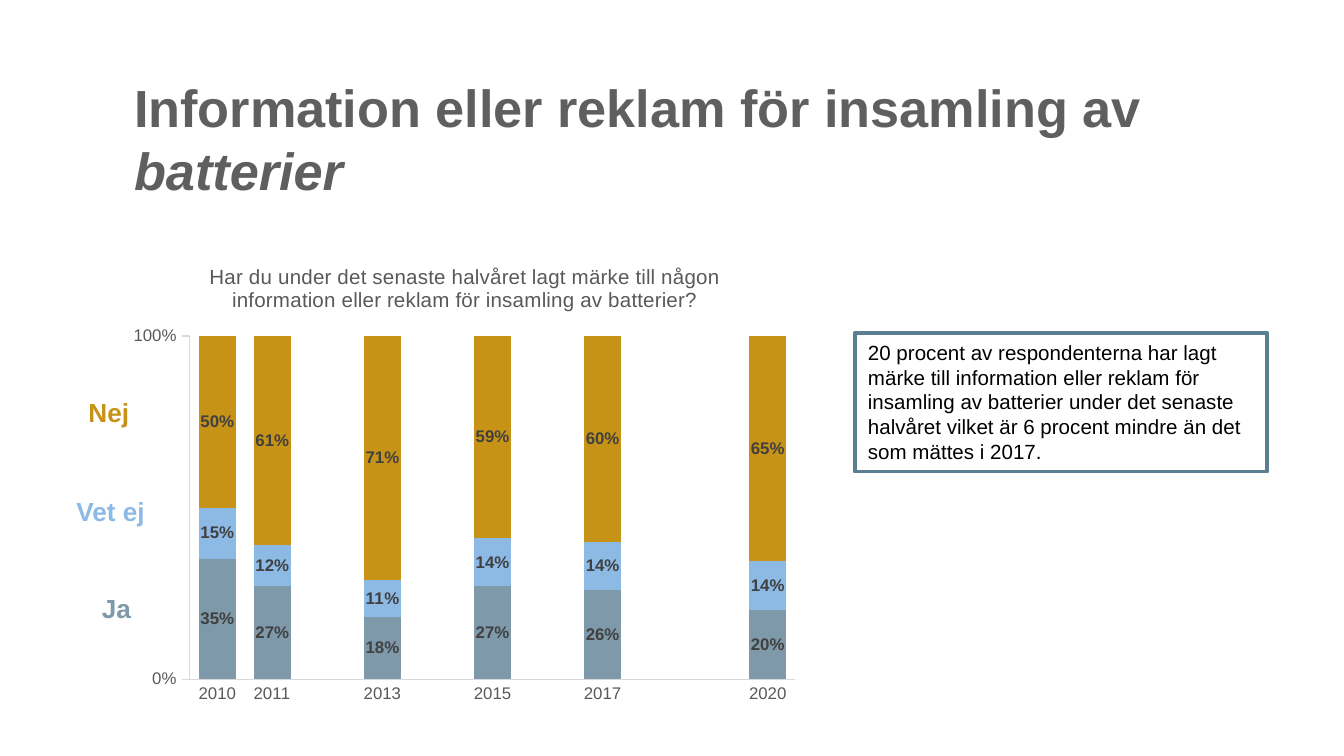
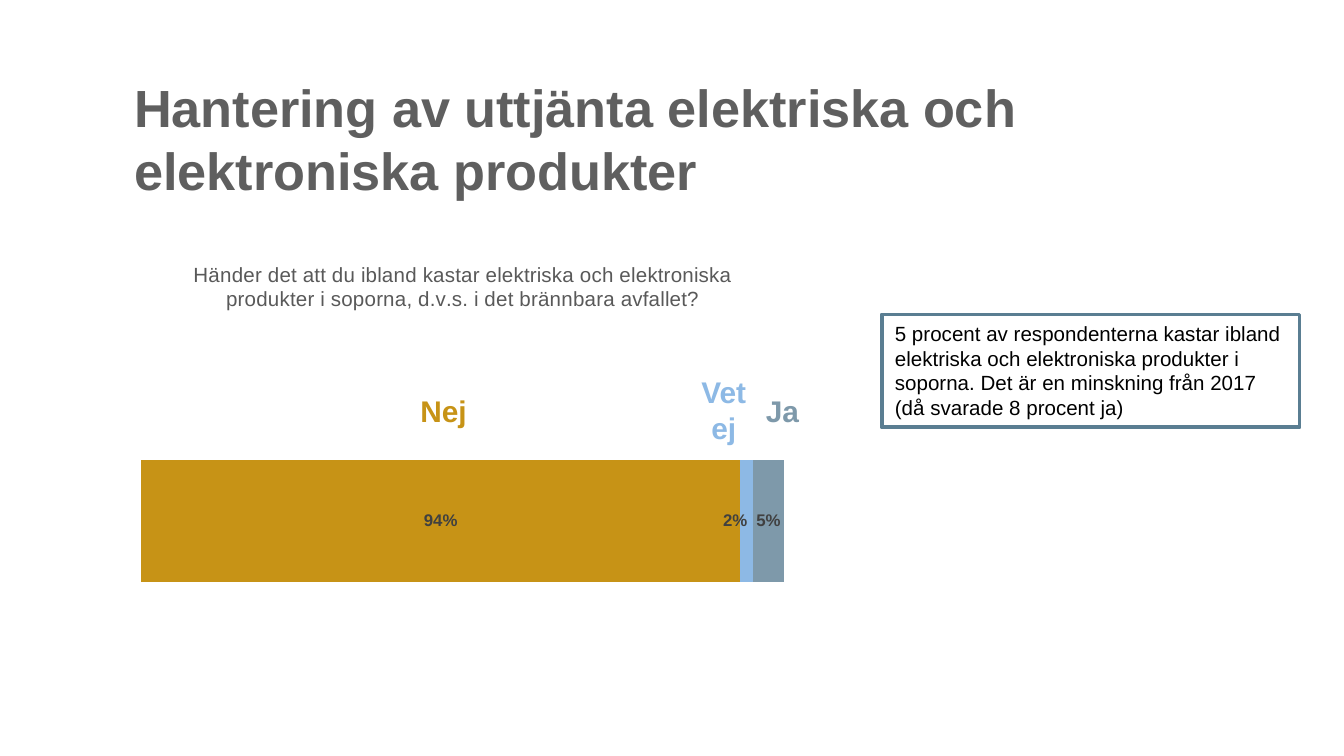
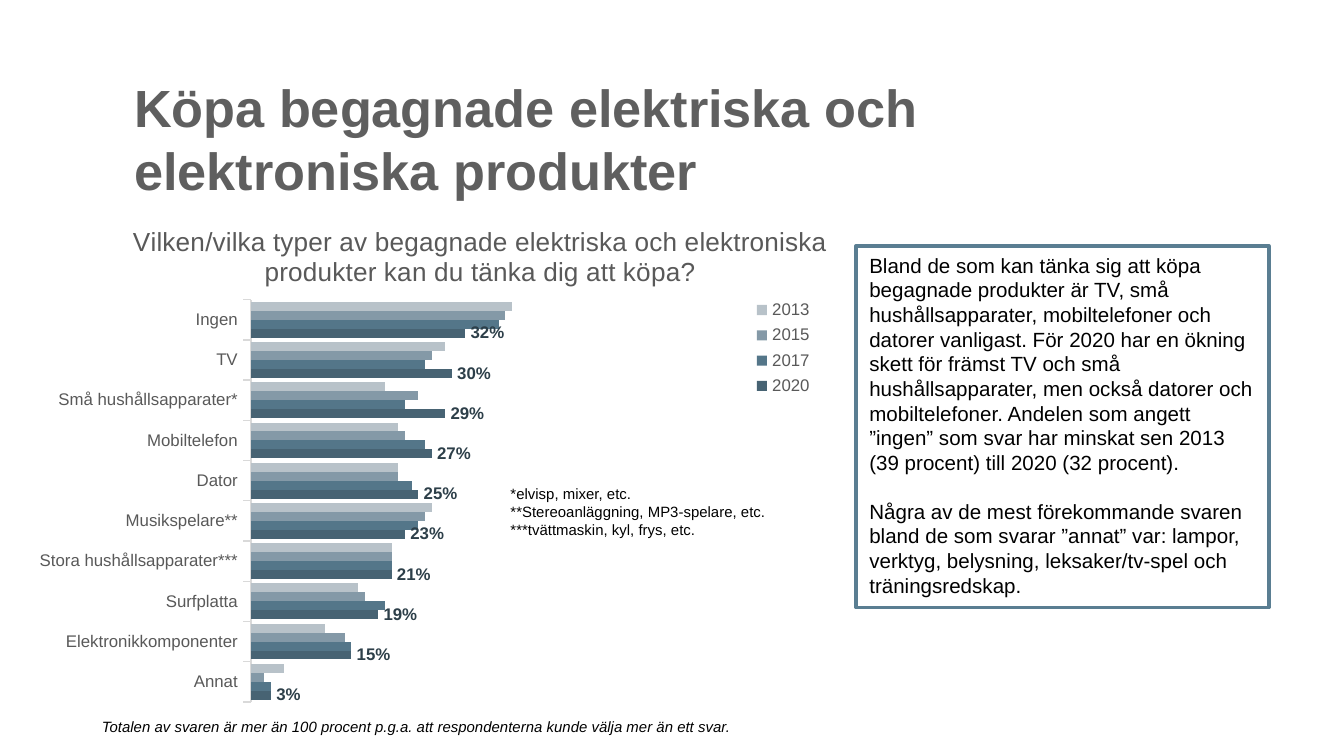
from lxml.etree import SubElement
from pptx import Presentation
from pptx.chart.data import CategoryChartData
from pptx.dml.color import RGBColor
from pptx.enum.chart import (XL_CHART_TYPE as ChartType, XL_LABEL_POSITION as LabelPos,
                             XL_LEGEND_POSITION as LegendPos, XL_TICK_MARK as Tick)
from pptx.enum.shapes import MSO_SHAPE
from pptx.enum.text import MSO_ANCHOR, MSO_AUTO_SIZE, PP_ALIGN
from pptx.oxml.ns import qn
from pptx.util import Inches, Pt

FONT = "Arial"
COLORS = {
    "title": "5F5F5F", "text": "000000", "white": "FFFFFF", "frame": "5A7E92",
    "axis text": "595959", "axis line": "D9D9D9", "share label": "404040",
    "Ja": "7E99AA", "Vet ej": "8DB9E5", "Nej": "C79316",
    "2020": "476373", "2017": "547689", "2015": "8499A7", "2013": "B8C2C9",
    "2020 label": "2D3F49",
}
TITLE_AREA = (0.9, 0.51, 8.03, 1.18)

# Areas are left, top, width, height in inches; plot and legend are fractions of the chart.
SLIDES = [
    {
        "title": [("Information eller reklam för insamling av ", {}),
                  ("batterier", {"italic": True})],
        "chart": {
            "type": ChartType.COLUMN_STACKED_100, "area": (0.9, 1.8, 5.12, 3.5),
            "plot": (0.1, 0.2, 0.88, 0.73), "gap": 50, "overlap": 100,
            "title": "Har du under det senaste halvåret lagt märke till någon "
                     "information eller reklam för insamling av batterier?",
            "title size": 11, "category ticks": Tick.NONE, "value ticks": Tick.OUTSIDE,
            "categories": ["2010", "2011", "", "2013", "", "2015", "", "2017", "", "", "2020"],
            "series": {
                "Ja": [0.35, 0.27, None, 0.18, None, 0.27, None, 0.26, None, None, 0.20],
                "Vet ej": [0.15, 0.12, None, 0.11, None, 0.14, None, 0.14, None, None, 0.14],
                "Nej": [0.5, 0.61, None, 0.71, None, 0.59, None, 0.6, None, None, 0.65],
            },
            "labels": {name: ("share label", LabelPos.CENTER) for name in ("Ja", "Vet ej", "Nej")},
        },
        "comment": ((6.36, 2.48, 3.07, 1.03), [
            "20 procent av respondenterna har lagt märke till information eller reklam för "
            "insamling av batterier under det senaste halvåret vilket är 6 procent mindre än "
            "det som mättes i 2017."]),
        "answers": [("Nej", (0.56, 2.9, 0.51, 0.34)),
                    ("Vet ej", (0.47, 3.64, 0.71, 0.34)),
                    ("Ja", (0.66, 4.36, 0.42, 0.34))],
        "answer size": 14,
    },
    {
        "title": [("Hantering av uttjänta elektriska och elektroniska produkter", {})],
        "chart": {
            "type": ChartType.BAR_STACKED_100, "area": (0.9, 1.79, 5.09, 3.51),
            "plot": (0.03, 0.23, 0.94, 0.73), "gap": 182, "overlap": 100,
            "title": "Händer det att du ibland kastar elektriska och elektroniska "
                     "produkter i soporna, d.v.s. i det brännbara avfallet?",
            "title size": 11,
            "categories": ["1"],
            "series": {"Nej": [0.94], "Vet ej": [0.02], "Ja": [0.05]},
            "labels": {"Nej": ("share label", LabelPos.CENTER),
                       "Vet ej": ("share label", LabelPos.INSIDE_END),
                       "Ja": ("share label", LabelPos.CENTER)},
        },
        "comment": ((6.56, 2.34, 3.11, 0.84), [
            "5 procent av respondenterna kastar ibland elektriska och elektroniska produkter "
            "i soporna. Det är en minskning från 2017 (då svarade 8 procent ja)"]),
        "answers": [("Ja", (5.6, 2.87, 0.45, 0.37)),
                    ("Nej", (3.03, 2.87, 0.55, 0.37)),
                    ("Vet ej", (5.09, 2.73, 0.59, 0.64))],
        "answer size": 16, "wrapped answer": "Vet ej",
    },
    {
        "title": [("Köpa begagnade elektriska och elektroniska produkter", {})],
        "chart": {
            "type": ChartType.BAR_CLUSTERED, "area": (0.16, 1.51, 6.83, 3.79),
            "plot": (0.25, 0.19, 0.73, 0.79), "gap": 50, "overlap": 0,
            "title": "Vilken/vilka typer av begagnade elektriska och elektroniska "
                     "produkter kan du tänka dig att köpa?",
            "title size": 14, "category ticks": Tick.OUTSIDE,
            "legend": (0.78, 0.18, 0.1, 0.21),
            "categories": ["Annat", "Elektronikkomponenter", "Surfplatta",
                           "Stora hushållsapparater***", "Musikspelare**", "Dator",
                           "Mobiltelefon", "Små hushållsapparater*", "TV", "Ingen"],
            "series": {
                "2020": [0.03, 0.15, 0.19, 0.21, 0.23, 0.25, 0.27, 0.29, 0.3, 0.32],
                "2017": [0.03, 0.15, 0.2, 0.21, 0.25, 0.24, 0.26, 0.23, 0.26, 0.37],
                "2015": [0.02, 0.14, 0.17, 0.21, 0.26, 0.22, 0.23, 0.25, 0.27, 0.38],
                "2013": [0.05, 0.11, 0.16, 0.21, 0.27, 0.22, 0.22, 0.2, 0.29, 0.39],
            },
            "labels": {"2020": ("2020 label", LabelPos.OUTSIDE_END)},
        },
        "comment": ((6.37, 1.83, 3.07, 2.69), [
            "Bland de som kan tänka sig att köpa begagnade produkter är TV, små "
            "hushållsapparater, mobiltelefoner och datorer vanligast. För 2020 har en ökning "
            "skett för främst TV och små hushållsapparater, men också datorer och "
            "mobiltelefoner. Andelen som angett ”ingen” som svar har minskat sen 2013 "
            "(39 procent) till 2020 (32 procent).",
            "Några av de mest förekommande svaren bland de som svarar ”annat” var: lampor, "
            "verktyg, belysning, leksaker/tv-spel och träningsredskap."]),
        "notes": [
            ((3.7, 3.56, 2.27, 0.5), True, {},
             ["*elvisp, mixer, etc.", "**Stereoanläggning, MP3-spelare, etc.",
              "***tvättmaskin, kyl, frys, etc."]),
            ((0.66, 5.29, 4.96, 0.24), False, {"italic": True},
             ["Totalen av svaren är mer än 100 procent p.g.a. att respondenterna kunde "
              "välja mer än ett svar."]),
        ],
    },
]


def rgb(name):
    return RGBColor.from_string(COLORS[name])


def inches(area):
    return [Inches(length) for length in area]


def style_font(font, size, color, **formats):
    font.color.rgb = rgb(color)
    for key, value in {"name": FONT, "size": Pt(size), **formats}.items():
        setattr(font, key, value)


def fill_text(frame, paragraphs, size, color, gap=0, align=PP_ALIGN.LEFT, **formats):
    """Write paragraphs of (words, format) spans, with a gap in points between them."""
    for index, spans in enumerate(paragraphs):
        para = frame.paragraphs[0] if index == 0 else frame.add_paragraph()
        para.alignment = align
        if index and gap:
            para.space_before = Pt(gap)
        for words, extra in spans:
            span = para.add_run()
            span.text = words
            style_font(span.font, size, color, **{**formats, **extra})


def plain(paragraphs):
    return [[(words, {})] for words in paragraphs]


def add_text(page, area, paragraphs, size, color, wrap=True, grow=True, **formats):
    frame = page.shapes.add_textbox(*inches(area)).text_frame
    frame.word_wrap = wrap
    frame.auto_size = MSO_AUTO_SIZE.SHAPE_TO_FIT_TEXT if grow else MSO_AUTO_SIZE.NONE
    fill_text(frame, paragraphs, size, color, **formats)


def add_comment(page, area, paragraphs):
    box = page.shapes.add_shape(MSO_SHAPE.RECTANGLE, *inches(area))
    box.shadow.inherit = False
    box.fill.solid()
    box.fill.fore_color.rgb = rgb("white")
    box.line.color.rgb = rgb("frame")
    box.line.width = Pt(2)
    box.text_frame.word_wrap = True
    box.text_frame.vertical_anchor = MSO_ANCHOR.TOP
    fill_text(box.text_frame, plain(paragraphs), 11, "text", gap=13)


def place_part(part, index, fractions, target=None):
    """Fix a chart part's place as fractions of the chart, its layout being child number index."""
    for old in part.findall(qn("c:layout")):
        part.remove(old)
    layout = SubElement(part, qn("c:layout"))
    part.insert(index, layout)
    manual = SubElement(layout, qn("c:manualLayout"))
    settings = [("layoutTarget", target)] if target else []
    settings += [("xMode", "edge"), ("yMode", "edge"), *zip("xywh", fractions)]
    for tag, value in settings:
        SubElement(manual, qn(f"c:{tag}")).set("val", str(value))


def style_axis(axis, ticks):
    """Show the axis with these tick marks, or hide it when ticks is None."""
    axis.has_major_gridlines = False
    axis.visible = ticks is not None
    if axis.visible:
        axis.major_tick_mark = ticks
        axis.minor_tick_mark = Tick.NONE
        style_font(axis.tick_labels.font, 9, "axis text")
        axis.format.line.color.rgb = rgb("axis line")
        axis.format.line.width = Pt(0.75)


def add_survey_chart(page, survey):
    data = CategoryChartData(number_format="0%")
    data.categories = survey["categories"]
    for name, values in survey["series"].items():
        data.add_series(name, values)
    chart = page.shapes.add_chart(survey["type"], *inches(survey["area"]), data).chart
    style_font(chart.font, 10, "text")
    chart_part = chart.element.find(qn("c:chart"))

    chart.has_title = True
    span = chart.chart_title.text_frame.paragraphs[0].add_run()
    span.text = survey["title"]
    style_font(span.font, survey["title size"], "axis text", bold=False)

    chart.has_legend = "legend" in survey
    if chart.has_legend:
        chart.legend.position = LegendPos.CORNER
        chart.legend.include_in_layout = True
        style_font(chart.legend.font, 9, "axis text")
        place_part(chart_part.find(qn("c:legend")), 1, survey["legend"])

    style_axis(chart.category_axis, survey.get("category ticks"))
    values = chart.value_axis
    style_axis(values, survey.get("value ticks"))
    values.minimum_scale, values.maximum_scale, values.major_unit = 0, 1, 1
    values.tick_labels.number_format = "0%"
    values.tick_labels.number_format_is_linked = False

    plot = chart.plots[0]
    plot.vary_by_categories = False
    plot.gap_width, plot.overlap = survey["gap"], survey["overlap"]
    for series in plot.series:
        series.format.fill.solid()
        series.format.fill.fore_color.rgb = rgb(series.name)
        if series.name in survey["labels"]:
            color, position = survey["labels"][series.name]
            labels = series.data_labels
            style_font(labels.font, 9, color, bold=True)
            for key, value in {"show_value": True, "position": position, "number_format": "0%",
                               "number_format_is_linked": False}.items():
                setattr(labels, key, value)
    place_part(chart_part.find(qn("c:plotArea")), 0, survey["plot"], "inner")


def build_slide(page, content):
    add_survey_chart(page, content["chart"])
    add_text(page, TITLE_AREA, [content["title"]], 28, "title", grow=False, bold=True)
    add_comment(page, *content["comment"])
    for answer, area in content.get("answers", []):
        wrap = answer == content.get("wrapped answer")
        add_text(page, area, plain([answer]), content["answer size"], answer, wrap=wrap,
                 align=PP_ALIGN.CENTER if wrap else PP_ALIGN.LEFT, bold=True)
    for area, wrap, formats, paragraphs in content.get("notes", []):
        add_text(page, area, plain(paragraphs), 8, "text", wrap=wrap, **formats)


def main():
    deck = Presentation()
    deck.slide_width, deck.slide_height = Inches(10), Inches(10 * 9 / 16)
    for content in SLIDES:
        build_slide(deck.slides.add_slide(deck.slide_layouts[6]), content)
    deck.save("out.pptx")


if __name__ == "__main__":
    main()
